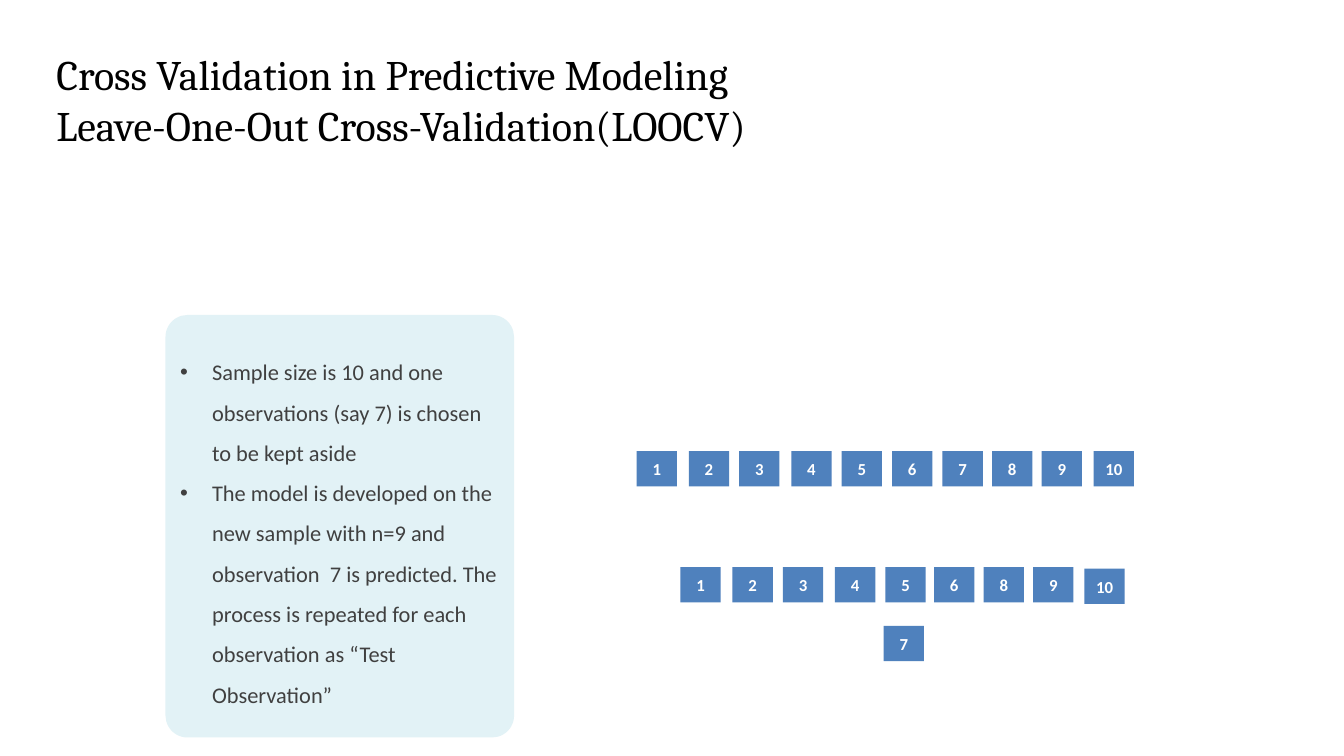
from pptx import Presentation
from pptx.dml.color import RGBColor
from pptx.enum.shapes import MSO_SHAPE
from pptx.enum.text import MSO_ANCHOR, MSO_AUTO_SIZE, PP_ALIGN
from pptx.oxml.ns import qn
from pptx.util import Inches, Pt
from lxml import etree

RECTANGLE, ROUNDED = MSO_SHAPE.RECTANGLE, MSO_SHAPE.ROUNDED_RECTANGLE
MIDDLE, TOP = MSO_ANCHOR.MIDDLE, MSO_ANCHOR.TOP
CENTER, LEFT = PP_ALIGN.CENTER, PP_ALIGN.LEFT
GROW = MSO_AUTO_SIZE.SHAPE_TO_FIT_TEXT

TITLE_FONT = {"name": "Cambria", "size": Pt(36)}
PANEL_FONT = {"name": "Calibri", "size": Pt(19.2)}
NUMBER_FONT = {"name": "Calibri", "size": Pt(14.4), "bold": True}

TITLE = "Cross Validation in Predictive Modeling\vLeave-One-Out Cross-Validation(LOOCV)"
STEPS = [
    "Sample size is 10 and one observations (say 7) is chosen to be kept aside",
    "The model is developed on the new sample with n=9 and observation  7 is predicted. "
    "The process is repeated for each observation as “Test Observation”",
]

# Observation number -> left edge in inches
FULL_SAMPLE = {1: 7.58, 2: 8.2, 3: 8.8, 4: 9.42, 5: 10.02,
               6: 10.62, 7: 11.22, 8: 11.81, 9: 12.4, 10: 13.02}
TRAINING_SAMPLE = {1: 8.1, 2: 8.72, 3: 9.32, 4: 9.94, 5: 10.54,
                   6: 11.12, 8: 11.71, 9: 12.3}
LAST_TRAINING = {10: 12.91}
TEST_OBSERVATION = {7: 10.52}


def rgb(color):
    return RGBColor.from_string(color)


def apply_format(target, values):
    for attribute, value in values.items():
        setattr(target, attribute, value)


def style_font(font, values, color):
    apply_format(font, values)
    font.color.rgb = rgb(color)


def add_filled_shape(slide, kind, box, fill):
    shape = slide.shapes.add_shape(kind, *map(Inches, box))
    shape.shadow.inherit = False
    shape.fill.solid()
    shape.fill.fore_color.rgb = rgb(fill)
    shape.line.fill.background()
    apply_format(shape.text_frame, {"vertical_anchor": MIDDLE, "word_wrap": True})
    return shape


def add_title(slide):
    box = map(Inches, (0.67, 0.58, 11, 1.21))
    frame = slide.shapes.add_textbox(*box).text_frame
    apply_format(frame, {"margin_left": 0, "margin_right": 0, "margin_top": 0,
                         "margin_bottom": 0, "word_wrap": True,
                         "vertical_anchor": TOP, "auto_size": GROW})
    frame.text = TITLE
    style_font(frame.paragraphs[0].font, TITLE_FONT, "000000")


def add_bullet(paragraph):
    properties = paragraph._p.get_or_add_pPr()
    properties.set("marL", str(Inches(0.38)))
    properties.set("indent", str(-Inches(0.38)))
    etree.SubElement(properties, qn("a:buFont"), typeface="Arial")
    etree.SubElement(properties, qn("a:buChar"), char="•")


def add_steps_panel(slide):
    panel = add_filled_shape(slide, ROUNDED, (1.97, 3.75, 4.15, 5.03), "E2F2F6")
    panel.adjustments[0] = 0.063
    frame = panel.text_frame
    frame.auto_size = GROW
    frame.text = "\n".join(STEPS)
    for paragraph in frame.paragraphs:
        add_bullet(paragraph)
        apply_format(paragraph, {"alignment": LEFT, "line_spacing": 1.5})
        style_font(paragraph.font, PANEL_FONT, "404040")


def add_observations(slide, lefts, top):
    for number, left in lefts.items():
        tile = add_filled_shape(slide, RECTANGLE, (left, top, 0.48, 0.42), "4F81BD")
        tile.text_frame.text = str(number)
        paragraph = tile.text_frame.paragraphs[0]
        paragraph.alignment = CENTER
        style_font(paragraph.font, NUMBER_FONT, "FFFFFF")


def main():
    deck = Presentation()
    apply_format(deck, {"slide_width": Inches(16), "slide_height": Inches(9)})
    slide = deck.slides.add_slide(deck.slide_layouts[6])
    add_title(slide)
    add_steps_panel(slide)
    add_observations(slide, FULL_SAMPLE, 5.37)
    add_observations(slide, TRAINING_SAMPLE, 6.75)
    add_observations(slide, LAST_TRAINING, 6.77)
    add_observations(slide, TEST_OBSERVATION, 7.45)
    deck.save("out.pptx")


if __name__ == "__main__":
    main()
